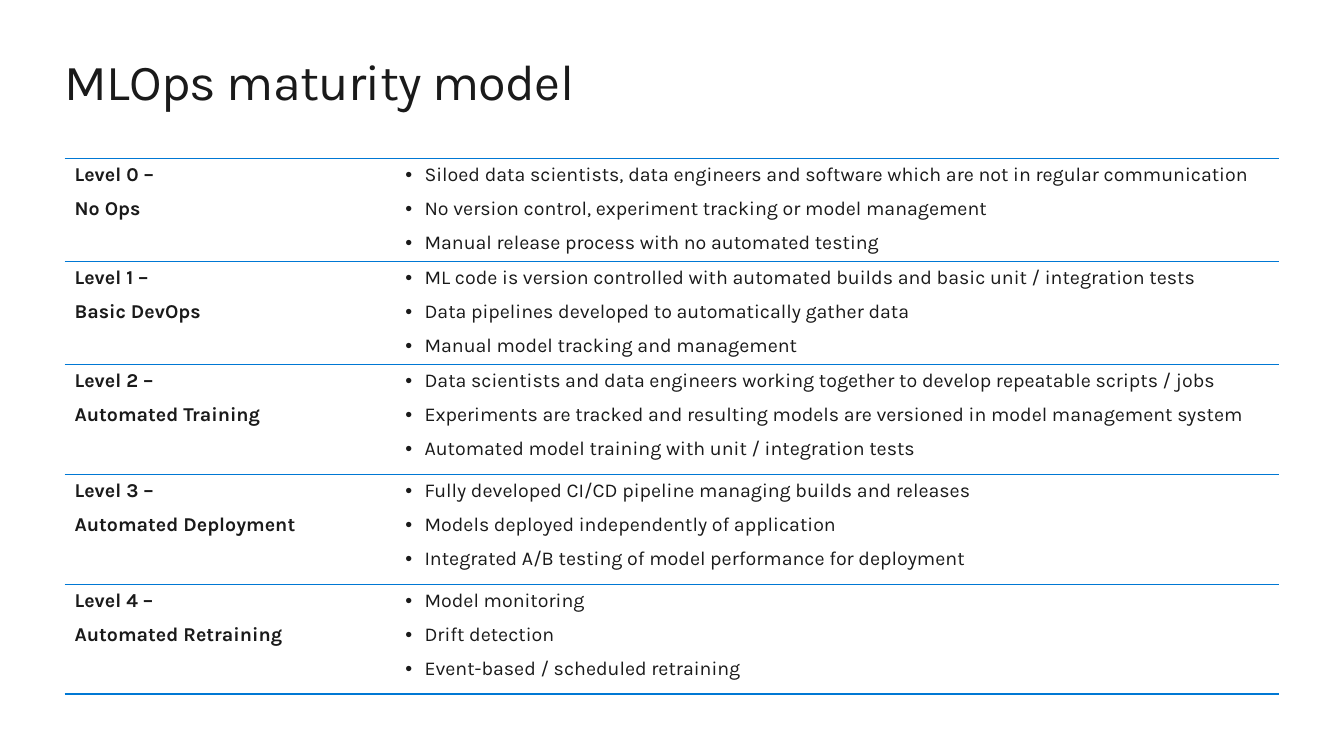
from lxml.etree import SubElement
from pptx import Presentation
from pptx.dml.color import RGBColor
from pptx.enum.text import MSO_ANCHOR, MSO_AUTO_SIZE, PP_ALIGN
from pptx.oxml.ns import qn
from pptx.util import Emu, Pt

TITLE = "MLOps maturity model"
LEVELS = [
    ("Level 0 –", "No Ops", [
        "Siloed data scientists, data engineers and software which are not in regular communication",
        "No version control, experiment tracking or model management",
        "Manual release process with no automated testing",
    ]),
    ("Level 1 –", "Basic DevOps", [
        "ML code is version controlled with automated builds and basic unit / integration tests",
        "Data pipelines developed to automatically gather data",
        "Manual model tracking and management",
    ]),
    ("Level 2 –", "Automated Training", [
        "Data scientists and data engineers working together to develop repeatable scripts / jobs",
        "Experiments are tracked and resulting models are versioned in model management system",
        "Automated model training with unit / integration tests",
    ]),
    ("Level 3 –", "Automated Deployment", [
        "Fully developed CI/CD pipeline managing builds and releases",
        "Models deployed independently of application",
        "Integrated A/B testing of model performance for deployment",
    ]),
    ("Level 4 –", "Automated Retraining", [
        "Model monitoring",
        "Drift detection",
        "Event-based / scheduled retraining",
    ]),
]

COLORS = {"text": "1A1A1A", "rule": "0078D4"}
FONT = "Karla"
LEFT, WIDTH = 64, 1205
TITLE_TOP, TITLE_HEIGHT = 50, 61
TABLE_TOP = 157
COLUMN_WIDTHS = [328, 877]
ROW_HEIGHTS = [89, 89, 109, 109, 109]
BULLET_INDENT, BULLET_TAB = 19, 25


def px(length):
    """Turn px (100 to the inch) into EMU."""
    return Emu(length * 9144)


def set_font(paragraph, size, bold=False):
    font = paragraph.font
    font.name, font.size, font.bold = FONT, Pt(size), bold
    font.color.rgb = RGBColor.from_string(COLORS["text"])


def add_bullet(paragraph):
    properties = paragraph._p.get_or_add_pPr()
    properties.set("marL", str(px(BULLET_INDENT)))
    properties.set("indent", str(-px(BULLET_INDENT)))
    SubElement(properties, qn("a:buFont"), typeface="Arial")
    SubElement(properties, qn("a:buChar"), char="•")
    tabs = SubElement(properties, qn("a:tabLst"))
    SubElement(tabs, qn("a:tab"), pos=str(px(BULLET_TAB)), algn="l")


def set_borders(cell):
    """Rule the cell above and below, with open sides."""
    properties = cell._tc.get_or_add_tcPr()
    for side in ("lnL", "lnR"):
        SubElement(SubElement(properties, qn(f"a:{side}"), w="0"), qn("a:noFill"))
    for side in ("lnT", "lnB"):
        line = SubElement(properties, qn(f"a:{side}"), w=str(Pt(1)))
        fill = SubElement(line, qn("a:solidFill"))
        SubElement(fill, qn("a:srgbClr"), val=COLORS["rule"])


def fill_cell(cell, lines, bulleted):
    set_borders(cell)
    cell.fill.background()
    cell.vertical_anchor = MSO_ANCHOR.TOP
    frame = cell.text_frame
    frame.text = "\n".join(lines)
    for paragraph in frame.paragraphs:
        if bulleted:
            add_bullet(paragraph)
        paragraph.space_after = Pt(8)
        set_font(paragraph, 14, bold=not bulleted)


def add_title(slide):
    title = slide.shapes.title
    title.left, title.top = px(LEFT), px(TITLE_TOP)
    title.width, title.height = px(WIDTH), px(TITLE_HEIGHT)
    frame = title.text_frame
    frame.margin_left = frame.margin_right = frame.margin_top = frame.margin_bottom = 0
    frame.word_wrap = True
    frame.auto_size = MSO_AUTO_SIZE.SHAPE_TO_FIT_TEXT
    frame.vertical_anchor = MSO_ANCHOR.TOP
    frame.text = TITLE
    paragraph = frame.paragraphs[0]
    paragraph.alignment = PP_ALIGN.LEFT
    set_font(paragraph, 36)
    paragraph.runs[0].font._element.set("spc", "-50")


def add_levels(slide):
    table = slide.shapes.add_table(
        len(LEVELS), len(COLUMN_WIDTHS),
        px(LEFT), px(TABLE_TOP), px(WIDTH), px(sum(ROW_HEIGHTS)),
    ).table
    table.first_row = table.horz_banding = False
    for column, width in zip(table.columns, COLUMN_WIDTHS):
        column.width = px(width)
    for row, height, (level, name, traits) in zip(table.rows, ROW_HEIGHTS, LEVELS):
        row.height = px(height)
        fill_cell(row.cells[0], [level, name], bulleted=False)
        fill_cell(row.cells[1], traits, bulleted=True)


def main():
    presentation = Presentation()
    presentation.slide_width, presentation.slide_height = px(1333), px(750)
    slide = presentation.slides.add_slide(presentation.slide_layouts[5])
    add_title(slide)
    add_levels(slide)
    presentation.save("out.pptx")


if __name__ == "__main__":
    main()
